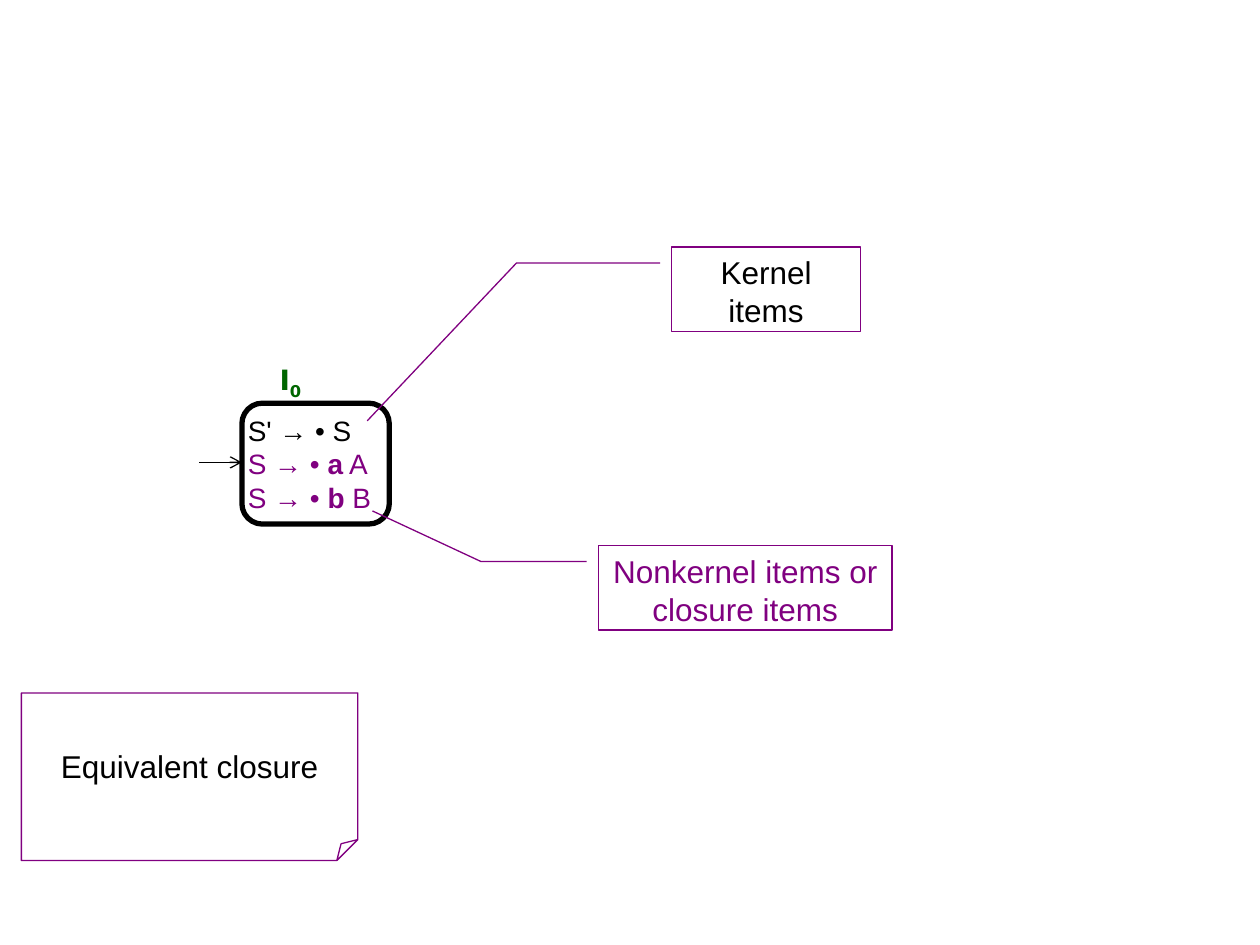
from lxml.etree import SubElement
from pptx import Presentation
from pptx.dml.color import RGBColor
from pptx.enum.shapes import MSO_CONNECTOR, MSO_SHAPE
from pptx.enum.text import MSO_ANCHOR, PP_ALIGN
from pptx.oxml.ns import qn
from pptx.util import Inches, Pt

HUES = {"ink": "000000", "paper": "FFFFFF", "plum": "800080", "green": "006600"}
PADS = ("margin_left", "margin_top", "margin_right", "margin_bottom")


def hue(name):
    return RGBColor.from_string(HUES[name])


def apply(item, look):
    for key, value in look.items():
        setattr(item, key, value)


def write(frame, lines, size, align=PP_ALIGN.LEFT, face="Arial"):
    for i, (color, runs) in enumerate(lines):
        para = frame.paragraphs[0] if i == 0 else frame.add_paragraph()
        para.alignment = align
        for text, bold in runs:
            run = para.add_run()
            run.text = text
            apply(run.font, {"name": face, "size": Pt(size), "bold": bold})
            run.font.color.rgb = hue(color)


def adjust(box, values):
    form = box._element.spPr.find(qn("a:prstGeom"))
    for old in list(form):
        form.remove(old)
    guides = SubElement(form, qn("a:avLst"))
    for i, value in enumerate(values, 1):
        name = f"adj{i}" if len(values) > 1 else "adj"
        SubElement(guides, qn("a:gd"), name=name, fmla=f"val {round(value * 100000)}")


def add_box(slide, kind, place, values, line, width, fill=None):
    box = slide.shapes.add_shape(kind, *map(Inches, place))
    box.shadow.inherit = False
    adjust(box, values)
    if fill:
        box.fill.solid()
        box.fill.fore_color.rgb = hue(fill)
    else:
        box.fill.background()
    box.line.color.rgb = hue(line)
    box.line.width = Pt(width)
    return box


def add_state(slide):
    box = add_box(slide, MSO_SHAPE.ROUNDED_RECTANGLE, (1.92, 3.2, 1.17, 0.96),
                  [0.17], "ink", 3, "paper")
    frame = box.text_frame
    look = {"word_wrap": False, "vertical_anchor": MSO_ANCHOR.MIDDLE}
    apply(frame, look | dict.fromkeys(PADS, 0))
    rules = [("plum", [("S → • ", False), (sign, True), (f" {sign.upper()}", False)])
             for sign in "ab"]
    write(frame, [("ink", [("S' → • S", False)])] + rules, 16)


def add_name(slide):
    box = slide.shapes.add_textbox(*map(Inches, (2.12, 2.83, 0.75, 0.37)))
    frame = box.text_frame
    frame.word_wrap = True
    write(frame, [("green", [("I", True), ("0", True)])], 16, face="DejaVu Sans")
    index = frame.paragraphs[0].runs[1]
    index.font._element.set("baseline", "-25000")


def add_arrow(slide):
    ends = map(Inches, (1.58, 3.67, 1.92, 3.67))
    arrow = slide.shapes.add_connector(MSO_CONNECTOR.STRAIGHT, *ends)
    arrow.line.color.rgb = hue("ink")
    arrow.line.width = Pt(0.75)
    SubElement(arrow.line._get_or_add_ln(), qn("a:tailEnd"), type="arrow")
    SubElement(arrow._element.spPr, qn("a:effectLst"))


def add_note(slide, text):
    box = add_box(slide, MSO_SHAPE.FOLDED_CORNER, (0.17, 5.5, 2.67, 1.33),
                  [0.125], "plum", 0.75)
    apply(box.text_frame, {"word_wrap": False, "vertical_anchor": MSO_ANCHOR.MIDDLE})
    write(box.text_frame, [("ink", [(text, False)])], 18, PP_ALIGN.CENTER)


def add_callout(slide, text, color, place, values):
    box = add_box(slide, MSO_SHAPE.LINE_CALLOUT_2, place, values, "plum", 0.75)
    apply(box.text_frame, {"word_wrap": True, "vertical_anchor": MSO_ANCHOR.TOP})
    write(box.text_frame, [(color, [(text, False)])], 18, PP_ALIGN.CENTER)


def main():
    deck = Presentation()
    apply(deck, {"slide_width": Inches(10), "slide_height": Inches(7.5)})
    slide = deck.slides.add_slide(deck.slide_layouts[6])
    add_state(slide)
    add_name(slide)
    add_arrow(slide)
    add_note(slide, "Equivalent closure")
    add_callout(slide, "Kernel items", "ink", (5.33, 1.96, 1.5, 0.67),
                [0.19, -0.06, 0.19, -0.82, 2.06, -1.61])
    add_callout(slide, "Nonkernel items or closure items", "plum",
                (4.75, 4.33, 2.33, 0.67), [0.19, -0.04, 0.19, -0.4, -0.41, -0.77])
    deck.save("out.pptx")


if __name__ == "__main__":
    main()
